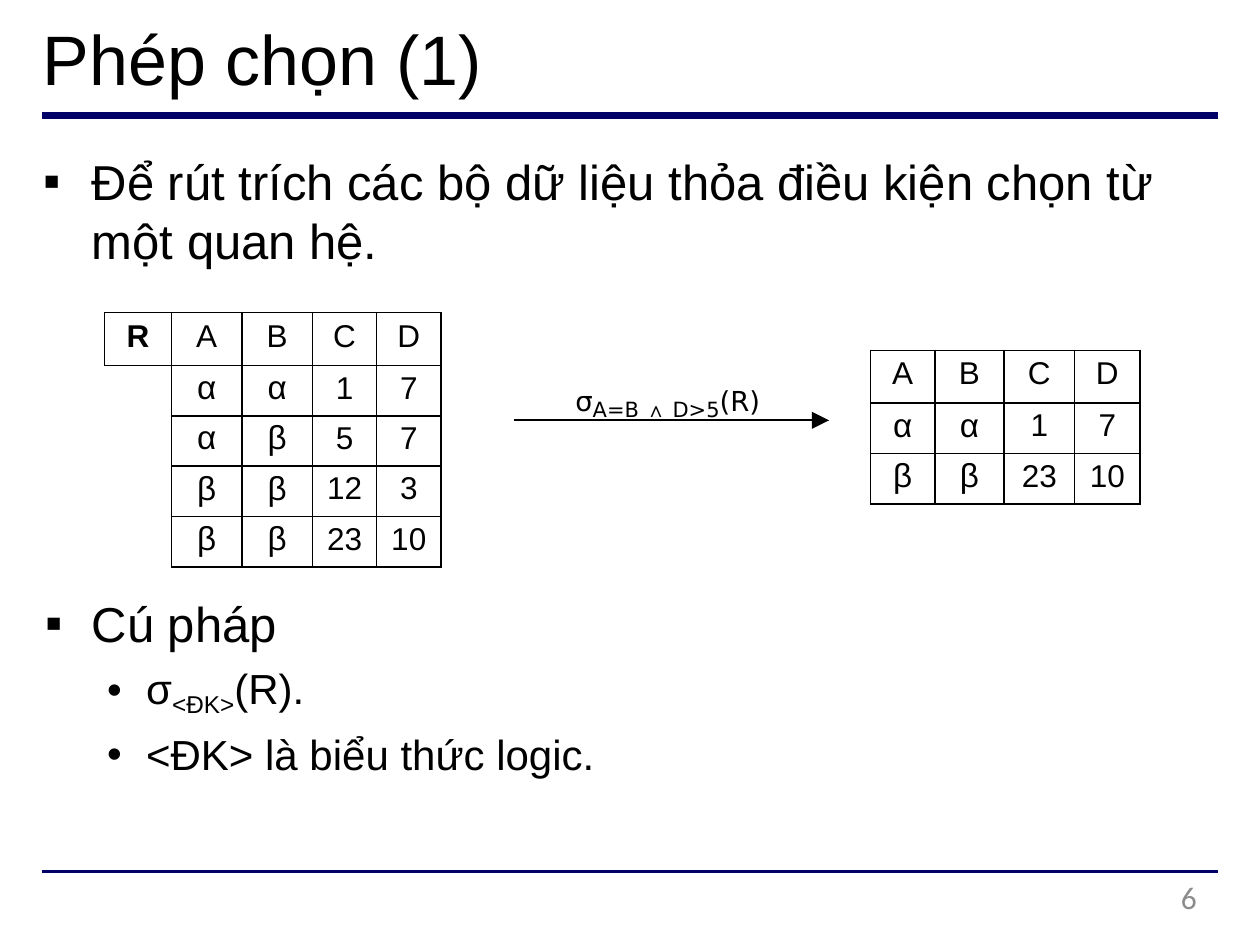
from dataclasses import dataclass

from lxml import etree
from pptx import Presentation
from pptx.dml.color import RGBColor
from pptx.enum import shapes, text
from pptx.oxml import ns
from pptx.util import Pt


@dataclass(frozen=True)
class Theme:
    """Colours, fonts and type sizes of the slide."""
    ink: str = "000000"
    rule: str = "000066"
    mute: str = "8C8C8C"
    face: str = "Arial"
    math: str = "DejaVu Sans"
    foot: str = "Calibri"
    title: int = 40
    body: int = 28
    sub: int = 24
    cell: int = 18
    greek: int = 19
    term: int = 27
    cond: int = 12


T = Theme()


def style(font, size, color=T.ink, face=T.face, bold=False):
    """Set the look of a font."""
    font.size, font.name, font.bold = Pt(size), face, bold
    font.color.rgb = RGBColor.from_string(color)


def add(node, tag, **attrs):
    """Append a drawing element and return it."""
    return etree.SubElement(node, ns.qn("a:" + tag), attrs)


def place(shape, box, top=0):
    """Move a text shape to its box and return its frame."""
    shape.left, shape.top, shape.width, shape.height = map(Pt, box)
    frame = shape.text_frame
    frame.word_wrap = True
    frame.auto_size = text.MSO_AUTO_SIZE.NONE
    frame.vertical_anchor = text.MSO_ANCHOR.TOP
    frame.margin_left = frame.margin_right = frame.margin_bottom = 0
    frame.margin_top = Pt(top)
    return frame


def draw_title(shape, box, words):
    """Fill the title placeholder."""
    frame = place(shape, box, 0.7)
    frame.text = words
    para = frame.paragraphs[0]
    para.alignment = text.PP_ALIGN.LEFT
    style(para.runs[0].font, T.title)


def draw_list(shape, box, top, items):
    """Fill a body placeholder with (level, left, hang, gap, runs) items."""
    frame = place(shape, box, top)
    for i, (level, left, hang, gap, parts) in enumerate(items):
        para = frame.add_paragraph() if i else frame.paragraphs[0]
        para.level = level
        props = para._p.get_or_add_pPr()
        props.set("marL", str(Pt(left)))
        props.set("indent", str(Pt(-hang)))
        add(props, "buFont", typeface=T.face)
        add(props, "buChar", char="•" if level else "▪")
        para.space_before = Pt(gap)
        for words, base in parts:
            run = para.add_run()
            run.text = words
            style(run.font, T.sub if level else T.body)
            if base:
                run.font._element.set("baseline", str(base * 1000))


def draw_edges(cell, sides):
    """Draw the named cell sides and clear the others."""
    props = cell._tc.get_or_add_tcPr()
    for side in "LRTB":
        line = add(props, "ln" + side, w=str(Pt(1)))
        if side in sides:
            add(add(line, "solidFill"), "srgbClr", val=T.ink)
        else:
            add(line, "noFill")
    cell.fill.background()


def draw_table(slide, box, cols, rows, top, stub=False):
    """Draw a relation; a stub column holds its name above an open cell."""
    grid = slide.shapes.add_table(len(rows), len(cols), *map(Pt, box)).table
    grid.first_row = grid.horz_banding = False
    for col, width in zip(grid.columns, cols):
        col.width = Pt(width)
    for r, row in enumerate(rows):
        grid.rows[r].height = Pt(28.8 if r else 30.2)
        for c, words in enumerate(row):
            cell = grid.cell(r, c)
            cell.margin_left = cell.margin_right = cell.margin_bottom = 0
            greek = words in ("α", "β")
            cell.margin_top = Pt(2.2 if greek else 2.9 if r else top)
            cell.text = words
            para = cell.text_frame.paragraphs[0]
            para.alignment = text.PP_ALIGN.CENTER
            size = T.greek if greek else T.cell
            style(para.font, size)
            for run in para.runs:
                style(run.font, size, bold=stub and not r and not c)
            void = stub and r and not c
            draw_edges(cell, ("RT" if r == 1 else "R") if void else "LRTB")
    if stub:
        grid.cell(1, 0).merge(grid.cell(len(rows) - 1, 0))


def draw_line(slide, start, end, color, width):
    """Draw a straight line without shadow."""
    line = slide.shapes.add_connector(
        shapes.MSO_CONNECTOR.STRAIGHT, *map(Pt, (*start, *end)))
    line.line.color.rgb = RGBColor.from_string(color)
    line.line.width = Pt(width)
    add(line._element.spPr, "effectLst")
    return line


def draw_step(slide, box):
    """Draw the selection formula above its arrow."""
    left, top, width, height = box
    label = slide.shapes.add_textbox(0, 0, 0, 0)
    para = place(label, (left + 35, top, 120, 24), 0.7).paragraphs[0]
    for words, face in (("σ", T.math), ("A=B ", T.math), ("∧ ", T.face),
                        ("D>5", T.math), ("(R)", T.math)):
        run = para.add_run()
        run.text = words
        term = words in ("σ", "(R)")
        style(run.font, T.term if term else T.cond, face=face)
        if term:
            run.font._element.set("baseline", "14000")
    end = top + height
    arrow = draw_line(slide, (left, end), (left + width, end), T.ink, 1)
    add(arrow.line._get_or_add_ln(), "tailEnd", type="triangle", w="lg", len="lg")


def draw_foot(slide, box, words):
    """Write the page number."""
    frame = place(slide.shapes.add_textbox(0, 0, 0, 0), box)
    frame.text = words
    para = frame.paragraphs[0]
    para.alignment = text.PP_ALIGN.RIGHT
    style(para.runs[0].font, T.cell, T.mute, T.foot)


def main():
    """Build and save the slide."""
    deck = Presentation()
    deck.slide_width, deck.slide_height = Pt(720), Pt(540)
    slide = deck.slides.add_slide(deck.slide_layouts[3])
    title, intro, syntax = slide.placeholders
    for y, width in ((66, 4.5), (498, 2.25)):
        draw_line(slide, (24, y), (696, y), T.rule, width)
    draw_title(title, (24.5, 8, 604, 50), "Phép chọn (1)")
    draw_list(intro, (24.5, 85.7, 640, 69), 0.7, [
        (0, 28, 27.4, 0, [("Để rút trích các bộ dữ liệu thỏa điều kiện chọn từ "
                           "một quan hệ.", 0)])])
    draw_list(syntax, (22.3, 331.2, 320, 112), 7.9, [
        (0, 30.2, 26.6, 0, [("Cú pháp", 0)]),
        (1, 61.2, 22.3, 5.9, [("σ", 0), ("<ĐK>", -21), ("(R).", 0)]),
        (1, 61.2, 22.3, 5.8, [("<ĐK> là biểu thức logic.", 0)])])
    draw_table(slide, (497.5, 200.2, 154, 87.8), (36.7, 39.6, 40.3, 37.4),
               ("ABCD", ("α", "α", "1", "7"), ("β", "β", "23", "10")), 2.9)
    draw_step(slide, (293.8, 211, 180, 29.2))
    draw_table(slide, (59.8, 178.6, 192.2, 145.4), (38.2, 40.3, 40.3, 36.7, 36.7),
               ("RABCD", ("", "α", "α", "1", "7"), ("", "α", "β", "5", "7"),
                ("", "β", "β", "12", "3"), ("", "β", "β", "23", "10")), 3.6, True)
    draw_foot(slide, (518.4, 501.8, 165.6, 27.4), "6")
    deck.save("out.pptx")


if __name__ == "__main__":
    main()
